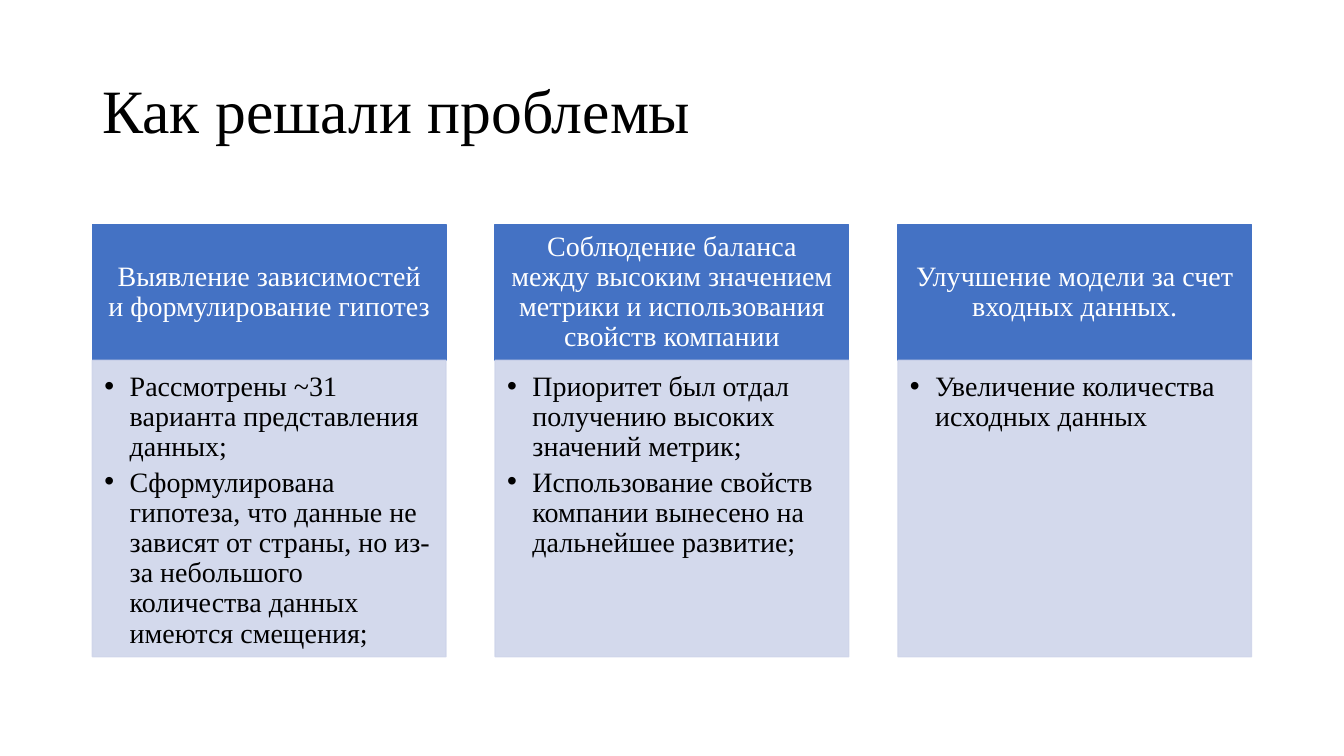
from lxml.etree import SubElement
from pptx import Presentation
from pptx.dml.color import RGBColor
from pptx.enum.shapes import MSO_SHAPE
from pptx.enum.text import MSO_ANCHOR, PP_ALIGN
from pptx.oxml.ns import qn
from pptx.util import Cm, Pt

BLACK = RGBColor(0x00, 0x00, 0x00)
WHITE = RGBColor(0xFF, 0xFF, 0xFF)
BLUE = RGBColor(0x44, 0x72, 0xC4)
PALE = RGBColor(0xCF, 0xD5, 0xEA)

LEFT, PITCH, WIDTH = 2.33, 10.15, 8.91
HEAD_TOP, HEAD_HIGH = 5.66, 3.42
BODY_TOP, BODY_HIGH = 9.08, 7.47

COLUMNS = [
    ("Выявление зависимостей и формулирование гипотез",
     ["Рассмотрены ~31 варианта представления данных;",
      "Сформулирована гипотеза, что данные не зависят от страны, "
      "но из-за небольшого количества данных имеются смещения;"]),
    ("Соблюдение баланса между высоким значением метрики "
     "и использования свойств компании",
     ["Приоритет был отдал получению высоких значений метрик;",
      "Использование свойств компании вынесено на дальнейшее развитие;"]),
    ("Улучшение модели за счет входных данных.",
     ["Увеличение количества исходных данных"]),
]


def write(frame, lines, size=20, color=BLACK, align=PP_ALIGN.LEFT,
          anchor=MSO_ANCHOR.TOP, inset=(0.25, 0.13, 0.25, 0.13),
          font="Times New Roman", after=0, bullet=False):
    """Fill a text frame, one paragraph a line; inset is left, top, right, bottom in cm."""
    frame.word_wrap = True
    frame.vertical_anchor = anchor
    (frame.margin_left, frame.margin_top,
     frame.margin_right, frame.margin_bottom) = map(Cm, inset)
    for i, line in enumerate(lines):
        para = frame.add_paragraph() if i else frame.paragraphs[0]
        para.alignment = align
        para.line_spacing = 0.9
        para.space_after = Pt(after)
        run = para.add_run()
        run.text = line
        run.font.name = font
        run.font.size = Pt(size)
        run.font.color.rgb = color
        if bullet:
            props = para._p.get_or_add_pPr()
            props.set("marL", str(Cm(0.64)))
            props.set("indent", str(-Cm(0.64)))
            SubElement(props, qn("a:buFont"), typeface="Arial")
            SubElement(props, qn("a:buChar"), char="•")


class Board:
    def __init__(self, deck, font):
        self.slide = deck.slides.add_slide(deck.slide_layouts[6])
        self.font = font

    def title(self, text):
        box = self.slide.shapes.add_textbox(Cm(LEFT), Cm(1.02), Cm(29.21), Cm(3.68))
        write(box.text_frame, [text], size=44, anchor=MSO_ANCHOR.MIDDLE, font=self.font)

    def panel(self, left, top, high, fill, lines, alpha=100, **style):
        """Draw a filled rectangle with text; alpha is the opacity in percent."""
        rect = self.slide.shapes.add_shape(
            MSO_SHAPE.RECTANGLE, Cm(left), Cm(top), Cm(WIDTH), Cm(high))
        rect.shadow.inherit = False
        rect.fill.solid()
        rect.fill.fore_color.rgb = fill
        rect.line.color.rgb = fill
        rect.line.width = Pt(1)
        if alpha < 100:
            for tone in rect._element.spPr.iter(qn("a:srgbClr")):
                SubElement(tone, qn("a:alpha"), val=str(alpha * 1000))
        write(rect.text_frame, lines, font=self.font, **style)

    def column(self, left, head, points):
        self.panel(left, HEAD_TOP, HEAD_HIGH, BLUE, [head], color=WHITE,
                   align=PP_ALIGN.CENTER, anchor=MSO_ANCHOR.MIDDLE,
                   inset=(0.38, 0.23, 0.38, 0.23))
        self.panel(left, BODY_TOP, BODY_HIGH, PALE, points, alpha=90,
                   inset=(0.3, 0.3, 0.36, 0.43), after=3.5, bullet=True)


def main():
    deck = Presentation()
    deck.slide_width, deck.slide_height = Cm(33.87), Cm(19.05)
    board = Board(deck, "Times New Roman")
    board.title("Как решали проблемы")
    for i, (head, points) in enumerate(COLUMNS):
        board.column(LEFT + i * PITCH, head, points)
    deck.save("out.pptx")


if __name__ == "__main__":
    main()
